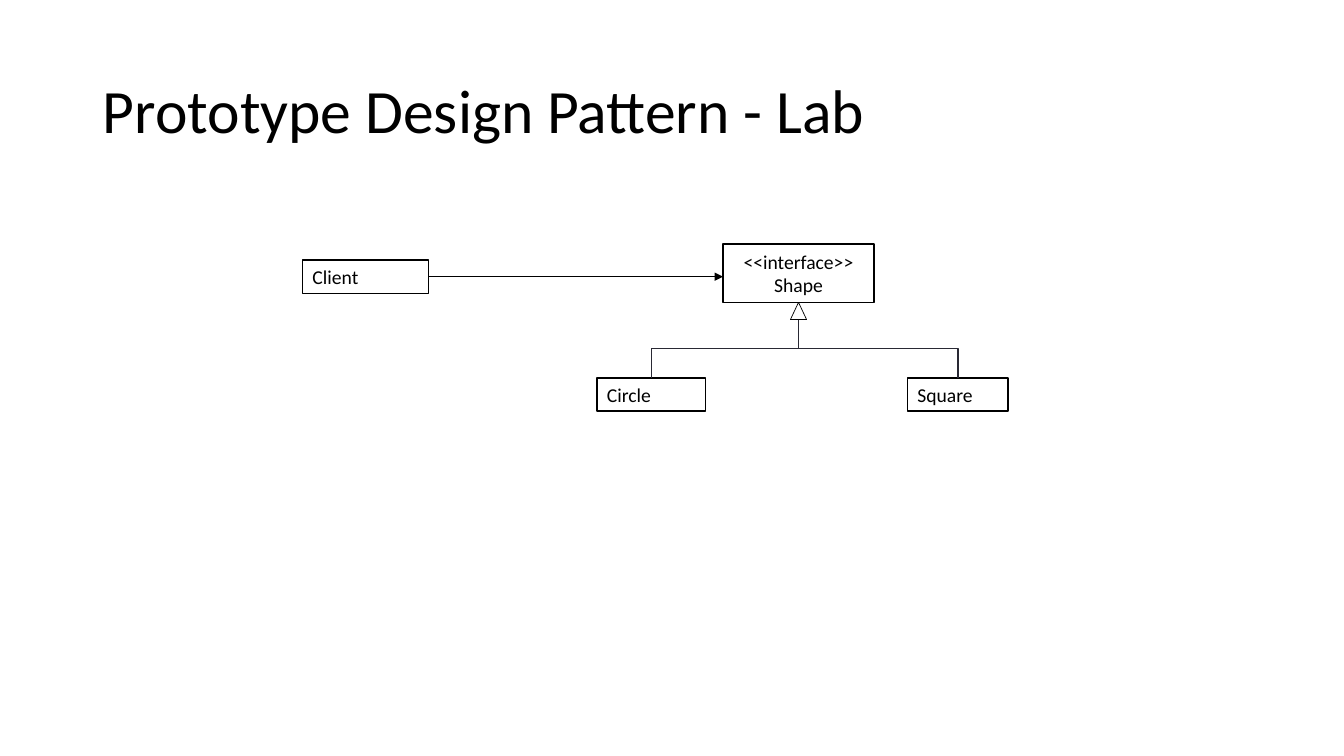
from dataclasses import dataclass

from lxml import etree
from pptx import Presentation, util as u
from pptx.dml.color import RGBColor
from pptx.enum import shapes, text
from pptx.oxml import ns


@dataclass(frozen=True)
class Theme:
    """Colours, font and type sizes of the slide."""
    ink: str = "000000"
    paper: str = "FFFFFF"
    branch: str = "292934"
    font: str = "Calibri"
    title_size: int = 44
    label_size: int = 14


THEME = Theme()
TITLE = ("Prototype Design Pattern - Lab", (0.92, 0.4, 11.5, 1.45))
LEFT, CENTER = text.PP_ALIGN.LEFT, text.PP_ALIGN.CENTER
CLASSES = {
    "shape": ("<<interface>> Shape", (7.17, 2.42, 1.5, 0.58), CENTER),
    "circle": ("Circle", (5.92, 3.75, 1.08, 0.33), LEFT),
    "square": ("Square", (9, 3.75, 1, 0.33), LEFT),
    "client": ("Client", (3, 2.58, 1.25, 0.33), LEFT),
}
SUBCLASSES = ("circle", "square")
HEAD_WIDTH, HEAD_HEIGHT = 0.16, 0.17


def inches(values):
    """Turn plain numbers into lengths."""
    return [u.Inches(value) for value in values]


def write(frame, words, size, **para_format):
    """Put one formatted paragraph into a text frame."""
    frame.vertical_anchor = text.MSO_ANCHOR.MIDDLE
    para = frame.paragraphs[0]
    for name, value in para_format.items():
        setattr(para, name, value)
    span = para.add_run()
    span.text = words
    for name, value in {"name": THEME.font, "size": u.Pt(size)}.items():
        setattr(span.font, name, value)
    span.font.color.rgb = RGBColor.from_string(THEME.ink)


def set_line(item, color, width):
    """Give a shape or connector its line colour and width."""
    item.line.color.rgb = RGBColor.from_string(color)
    item.line.width = u.Pt(width)


def add_outline(page, kind, bounds, width):
    """Add a paper-filled preset shape with an ink outline."""
    box = page.shapes.add_shape(kind, *inches(bounds))
    box.shadow.inherit = False
    box.fill.solid()
    box.fill.fore_color.rgb = RGBColor.from_string(THEME.paper)
    set_line(box, THEME.ink, width)
    return box


def add_link(page, kind, ends, color):
    """Add a connector without a shadow."""
    link = page.shapes.add_connector(kind, *inches(ends))
    set_line(link, color, 1)
    etree.SubElement(link._element.spPr, ns.qn("a:effectLst"))
    return link


def add_branch(page, start, end):
    """Add an elbow that leaves start and reaches end vertically."""
    (x1, y1), (x2, y2) = start, end
    mid_x, mid_y = (x1 + x2) / 2, (y1 + y2) / 2
    half_across, half_down = abs(x2 - x1) / 2, (y2 - y1) / 2
    to_right = x2 > x1
    reach = -half_down if to_right else half_down
    ends = (mid_x - reach, mid_y - half_across,
            mid_x + reach, mid_y + half_across)
    branch = add_link(page, shapes.MSO_CONNECTOR.ELBOW, ends, THEME.branch)
    degrees = 270 if to_right else 90
    branch._element.spPr.xfrm.set("rot", str(degrees * 60000))


deck = Presentation()
deck.slide_width, deck.slide_height = inches((13.33, 7.5))
page = deck.slides.add_slide(deck.slide_layouts[5])

title = page.shapes.title
words, bounds = TITLE
for name, value in zip(("left", "top", "width", "height"), inches(bounds)):
    setattr(title, name, value)
write(title.text_frame, words, THEME.title_size, alignment=LEFT, line_spacing=0.9)

for words, bounds, alignment in CLASSES.values():
    box = add_outline(page, shapes.MSO_SHAPE.RECTANGLE, bounds, 1)
    write(box.text_frame, words, THEME.label_size, alignment=alignment)

client_left, client_top, client_width, client_height = CLASSES["client"][1]
shape_left, shape_top, shape_width, shape_height = CLASSES["shape"][1]
level = client_top + client_height / 2
uses = add_link(page, shapes.MSO_CONNECTOR.STRAIGHT,
                (client_left + client_width, level, shape_left, level), THEME.ink)
etree.SubElement(uses.line._get_or_add_ln(), ns.qn("a:tailEnd"), type="triangle")

axis, base = shape_left + shape_width / 2, shape_top + shape_height
add_outline(page, shapes.MSO_SHAPE.ISOSCELES_TRIANGLE,
            (axis - HEAD_WIDTH / 2, base, HEAD_WIDTH, HEAD_HEIGHT), 0.5)
for name in SUBCLASSES:
    left, top, width, height = CLASSES[name][1]
    add_branch(page, (axis, base + HEAD_HEIGHT), (left + width / 2, top))

deck.save("out.pptx")
